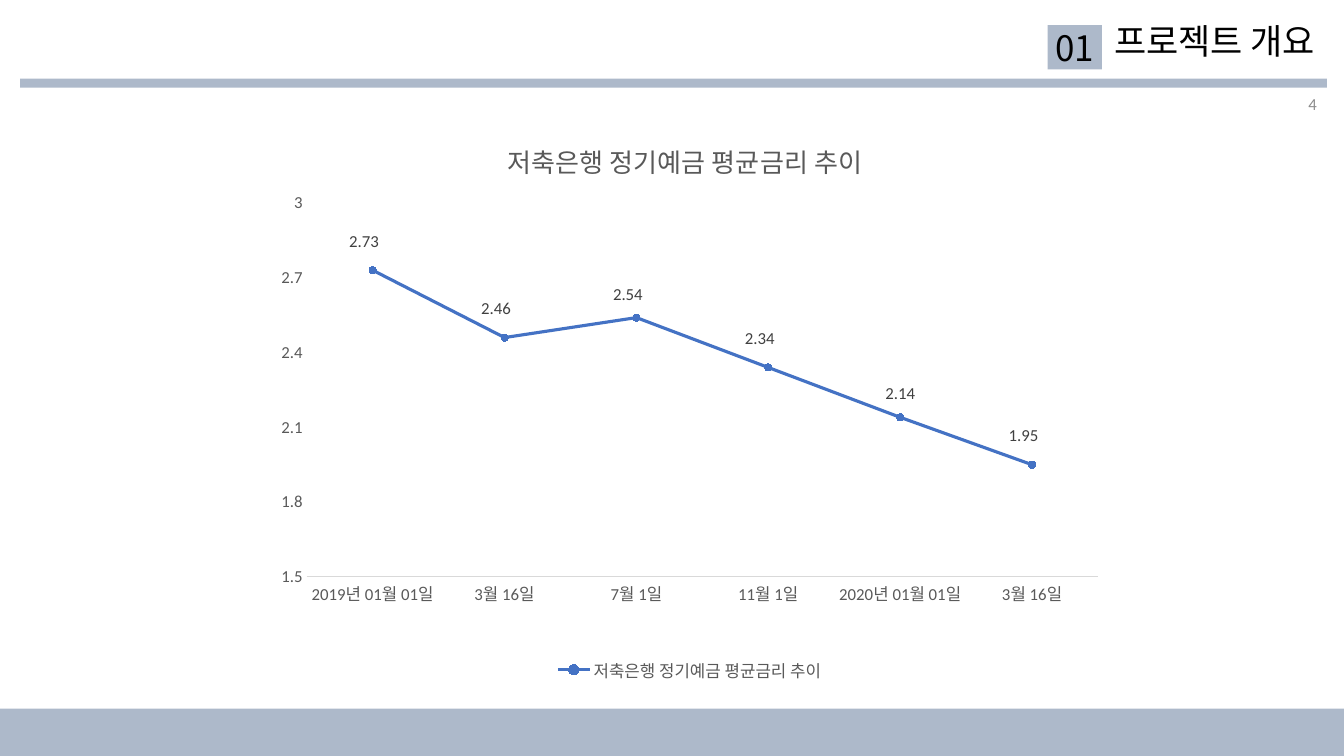
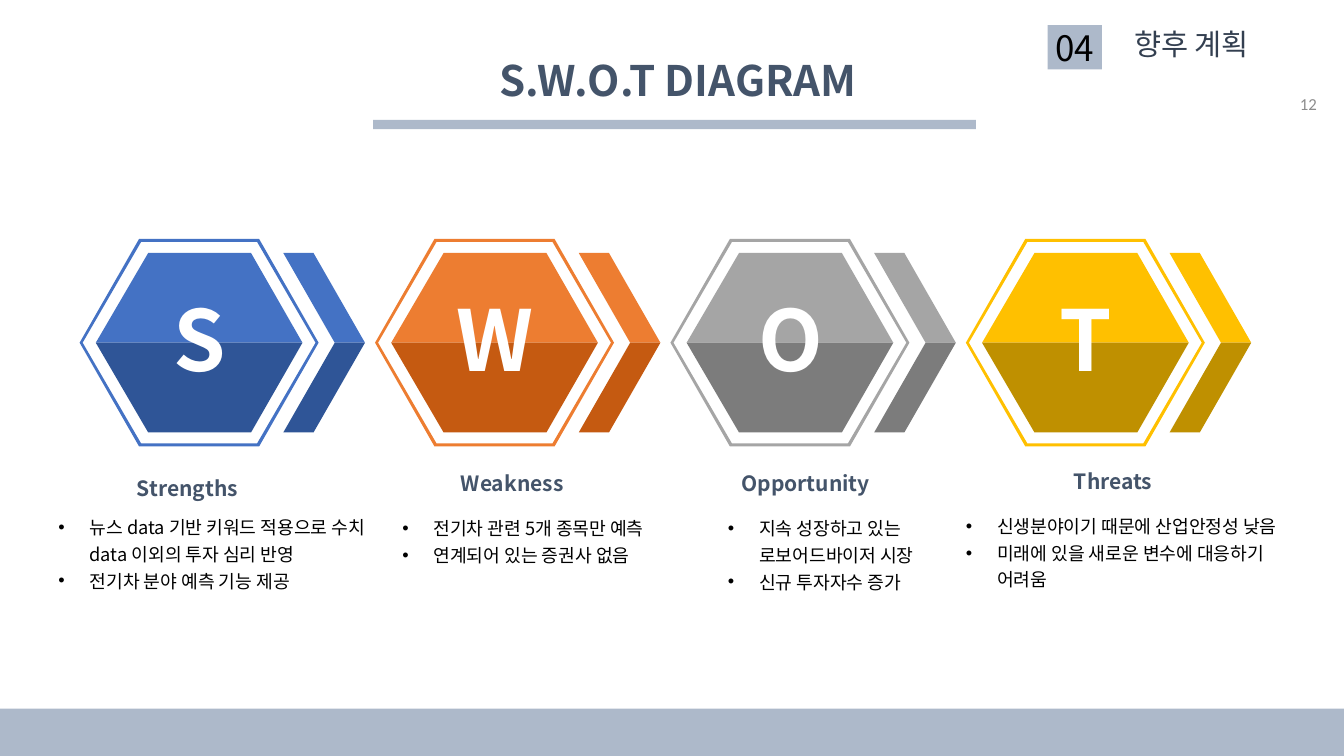
from dataclasses import dataclass

from lxml.etree import SubElement
from pptx import Presentation
from pptx.chart.data import CategoryChartData
from pptx.dml.color import RGBColor
from pptx.enum.chart import XL_CHART_TYPE as ChartType
from pptx.enum.chart import XL_LABEL_POSITION as LabelPosition
from pptx.enum.chart import XL_LEGEND_POSITION as LegendPosition
from pptx.enum.chart import XL_MARKER_STYLE as MarkerStyle
from pptx.enum.chart import XL_TICK_MARK as TickMark
from pptx.enum.shapes import MSO_SHAPE as Preset
from pptx.enum.text import MSO_ANCHOR as Anchor
from pptx.enum.text import MSO_AUTO_SIZE as AutoSize
from pptx.enum.text import PP_ALIGN as Align
from pptx.oxml import parse_xml
from pptx.oxml.ns import nsdecls, qn
from pptx.util import Inches, Pt

Point = tuple[float, float]
Box = tuple[float, float, float, float]


@dataclass(frozen=True)
class Theme:
    korean: str = "Noto Sans CJK KR"
    latin: str = "Calibri"
    band: str = "ADB9CA"
    black: str = "000000"
    white: str = "FFFFFF"
    heading: str = "44546A"
    section: str = "333F50"
    page: str = "8C8C8C"
    axis_text: str = "595959"
    axis_line: str = "D9D9D9"
    label: str = "404040"
    series: str = "4472C4"
    letter_size: float = 60
    diagram_size: float = 30
    title_size: float = 25
    section_size: float = 21
    chart_title_size: float = 18.6
    heading_size: float = 15
    list_size: float = 13
    small_size: float = 12


THEME = Theme()


@dataclass(frozen=True)
class Style:
    size: float
    colour: str
    bold: bool = False
    align: Align = Align.LEFT
    anchor: Anchor = Anchor.TOP
    font: str = THEME.korean


@dataclass(frozen=True)
class Rate:
    date: str
    percent: float
    label_dx: float
    label_dy: float


@dataclass(frozen=True)
class Factor:
    letter: str
    name: str
    light: str
    dark: str
    name_centre: float
    name_top: float
    list_box: Box
    points: tuple[str, ...]


RATES = (
    Rate("2019년 01월 01일", 2.73, -0.01, -0.02),
    Rate("3월 16일", 2.46, -0.01, -0.02),
    Rate("7월 1일", 2.54, -0.01, -0.01),
    Rate("11월 1일", 2.34, -0.01, -0.02),
    Rate("2020년 01월 01일", 2.14, 0, -0.01),
    Rate("3월 16일", 1.95, -0.01, -0.02),
)

FACTORS = (
    Factor("S", "Strengths", "4472C4", "2F5597", 1.86, 4.67, (0.48, 5.02, 3.5, 1.06),
           ("뉴스 data 기반 키워드 적용으로 수치 data 이외의 투자 심리 반영", "전기차 분야 예측 기능 제공")),
    Factor("W", "Weakness", "ED7D31", "C55A11", 5.08, 4.62, (3.89, 5.03, 3.2, 0.73),
           ("전기차 관련 5개 종목만 예측", "연계되어 있는 증권사 없음")),
    Factor("O", "Opportunity", "A5A5A5", "7C7C7C", 7.99, 4.62, (7.12, 5.03, 3.05, 1.06),
           ("지속 성장하고 있는 로보어드바이저 시장", "신규 투자자수 증가")),
    Factor("T", "Threats", "FFC000", "BF9000", 11.04, 4.6, (9.48, 5.01, 3.5, 1.06),
           ("신생분야이기 때문에 산업안정성 낮음", "미래에 있을 새로운 변수에 대응하기 어려움")),
)


def rgb(colour: str) -> RGBColor:
    return RGBColor.from_string(colour)


def style_font(font, size: float, colour: str, name: str, bold: bool = False) -> None:
    font.name = name
    font.size = Pt(size)
    font.bold = bold
    font.color.rgb = rgb(colour)


def add_run(paragraph, text: str, style: Style) -> None:
    run = paragraph.add_run()
    run.text = text
    style_font(run.font, style.size, style.colour, style.font, style.bold)
    SubElement(run._r.get_or_add_rPr(), qn("a:ea")).set("typeface", style.font)


def place(shape, box: Box) -> None:
    shape.left, shape.top, shape.width, shape.height = map(Inches, box)


def write(shape, text: str, style: Style) -> None:
    frame = shape.text_frame
    frame.word_wrap = True
    frame.auto_size = AutoSize.NONE
    frame.vertical_anchor = style.anchor
    frame.paragraphs[0].alignment = style.align
    add_run(frame.paragraphs[0], text, style)


def add_text(slide, box: Box, text: str, style: Style) -> None:
    write(slide.shapes.add_textbox(*map(Inches, box)), text, style)


def set_title(slide, box: Box, text: str, style: Style) -> None:
    place(slide.shapes.title, box)
    write(slide.shapes.title, text, style)


def paint(shape, colour: str) -> None:
    shape.shadow.inherit = False
    shape.fill.solid()
    shape.fill.fore_color.rgb = rgb(colour)
    shape.line.fill.background()


def add_bar(slide, box: Box):
    bar = slide.shapes.add_shape(Preset.RECTANGLE, *map(Inches, box))
    paint(bar, THEME.band)
    return bar


def add_frame(slide, section: str, page: str, rule: Box) -> None:
    add_bar(slide, (0, 7.03, 13.33, 0.47))
    add_bar(slide, rule)
    chip = add_bar(slide, (10.39, 0.25, 0.54, 0.44))
    frame = chip.text_frame
    frame.margin_left = frame.margin_right = frame.margin_top = frame.margin_bottom = 0
    write(chip, section, Style(THEME.title_size, THEME.black, align=Align.CENTER, anchor=Anchor.MIDDLE))
    add_text(slide, (10.16, 0.83, 3, 0.4), page,
             Style(THEME.small_size, THEME.page, align=Align.RIGHT, anchor=Anchor.MIDDLE, font=THEME.latin))


def manual_layout(x: float, y: float, size: Point | None = None, absolute: bool = True):
    parts = ['<c:layoutTarget val="inner"/>'] if size else []
    if absolute:
        parts += ['<c:xMode val="edge"/>', '<c:yMode val="edge"/>']
    parts += [f'<c:x val="{x}"/>', f'<c:y val="{y}"/>']
    if size:
        parts += [f'<c:w val="{size[0]}"/>', f'<c:h val="{size[1]}"/>']
    return parse_xml(f'<c:layout {nsdecls("c")}><c:manualLayout>{"".join(parts)}</c:manualLayout></c:layout>')


def add_rate_chart(slide) -> None:
    name = "저축은행 정기예금 평균금리 추이"
    rates = CategoryChartData()
    rates.categories = [rate.date for rate in RATES]
    rates.add_series(name, [rate.percent for rate in RATES])
    chart = slide.shapes.add_chart(ChartType.LINE_MARKERS, *map(Inches, (2.62, 1.1, 8.44, 5.71)), rates).chart
    style_font(chart.font, THEME.small_size, THEME.axis_text, THEME.latin)

    chart.has_title = True
    add_run(chart.chart_title.text_frame.paragraphs[0], name,
            Style(THEME.chart_title_size, THEME.axis_text))
    title = chart.chart_title._element
    for automatic in title.findall(qn("c:layout")):
        title.remove(automatic)
    title.find(qn("c:tx")).addnext(manual_layout(0.28, 0.04))
    chart.chart_title.include_in_layout = False

    area = chart._chartSpace.chart.plotArea
    for automatic in area.findall(qn("c:layout")):
        area.remove(automatic)
    area.insert(0, manual_layout(0.05, 0.16, (0.93, 0.65)))

    chart.has_legend = True
    chart.legend.position = LegendPosition.BOTTOM
    chart.legend.include_in_layout = False
    style_font(chart.legend.font, THEME.small_size, THEME.axis_text, THEME.latin)

    dates, percents = chart.category_axis, chart.value_axis
    for axis in (dates, percents):
        axis.major_tick_mark = axis.minor_tick_mark = TickMark.NONE
        axis.has_major_gridlines = False
        style_font(axis.tick_labels.font, THEME.small_size, THEME.axis_text, THEME.latin)
    dates.format.line.color.rgb = rgb(THEME.axis_line)
    dates.format.line.width = Pt(0.75)
    percents.format.line.fill.background()
    percents.minimum_scale, percents.maximum_scale, percents.major_unit = 1.5, 3, 0.3

    chart.plots[0].vary_by_categories = False
    trend = chart.plots[0].series[0]
    trend.smooth = False
    trend.format.line.color.rgb = rgb(THEME.series)
    trend.format.line.width = Pt(2.25)
    trend.marker.style = MarkerStyle.CIRCLE
    trend.marker.size = 5
    trend.marker.format.fill.solid()
    trend.marker.format.fill.fore_color.rgb = rgb(THEME.series)
    trend.marker.format.line.color.rgb = rgb(THEME.series)

    labels = trend.data_labels
    labels.show_value = True
    style_font(labels.font, THEME.small_size, THEME.label, THEME.latin)
    for index, rate in enumerate(RATES):
        label = trend.points[index].data_label
        label.position = LabelPosition.ABOVE
        style_font(label.font, THEME.small_size, THEME.label, THEME.latin)
        entry = labels._element.findall(qn("c:dLbl"))[index]
        entry.find(qn("c:idx")).addnext(manual_layout(rate.label_dx, rate.label_dy, absolute=False))
    for leader in labels._element.findall(qn("c:showLeaderLines")):
        leader.set("val", "0")


def add_polygon(slide, colour: str, *contours: list[Point]) -> None:
    first, *others = [[(Inches(x), Inches(y)) for x, y in contour] for contour in contours]
    builder = slide.shapes.build_freeform(*first[0])
    builder.add_line_segments(first[1:], close=True)
    for contour in others:
        builder.move_to(*contour[0])
        builder.add_line_segments(contour[1:], close=True)
    paint(builder.convert_to_shape(), colour)


def hexagon(left: float, middle: float, width: float, half: float, slope: float) -> list[Point]:
    right = left + width
    return [(left, middle), (left + slope, middle - half), (right - slope, middle - half),
            (right, middle), (right - slope, middle + half), (left + slope, middle + half)]


def add_emblem(slide, factor: Factor, left: float) -> None:
    middle, half = 3.4, 0.89
    add_polygon(slide, factor.light, hexagon(left, middle, 2.37, 1.03, 0.59),
                hexagon(left + 0.03, middle, 2.31, 1, 0.58)[::-1])
    for colour, edge in ((factor.light, middle - half), (factor.dark, middle + half)):
        add_polygon(slide, colour, [(left + 0.16, middle), (left + 0.68, edge),
                                    (left + 1.7, edge), (left + 2.21, middle)])
        add_polygon(slide, colour, [(left + 2.83, middle), (left + 2.32, edge),
                                    (left + 2.02, edge), (left + 2.53, middle)])
    add_text(slide, (left + 0.62, 2.8, 1.14, 1.11), factor.letter,
             Style(THEME.letter_size, THEME.white, True, Align.CENTER))


def fill_list(body, factor: Factor) -> None:
    place(body, factor.list_box)
    frame = body.text_frame
    frame.word_wrap = True
    frame.auto_size = AutoSize.NONE
    frame.vertical_anchor = Anchor.TOP
    for index, point in enumerate(factor.points):
        paragraph = frame.add_paragraph() if index else frame.paragraphs[0]
        properties = paragraph._p.get_or_add_pPr()
        properties.set("marL", str(Inches(0.31)))
        properties.set("indent", str(-Inches(0.31)))
        SubElement(properties, qn("a:buFont")).set("typeface", "Arial")
        SubElement(properties, qn("a:buChar")).set("char", "•")
        paragraph.alignment = Align.LEFT
        paragraph.line_spacing = 1.23
        paragraph.space_before = paragraph.space_after = Pt(0)
        add_run(paragraph, point, Style(THEME.list_size, THEME.black))


def build_overview(deck) -> None:
    slide = deck.slides.add_slide(deck.slide_layouts.get_by_name("Title Only"))
    add_frame(slide, "01", "4", (0.2, 0.78, 12.96, 0.09))
    set_title(slide, (10.95, 0.14, 2.38, 0.6), "프로젝트 개요", Style(THEME.title_size, THEME.black))
    add_rate_chart(slide)


def build_swot(deck) -> None:
    slide = deck.slides.add_slide(deck.slide_layouts.get_by_name("Comparison"))
    add_frame(slide, "04", "12", (3.7, 1.19, 5.98, 0.09))
    add_text(slide, (11.15, 0.21, 2.1, 0.5), "향후 계획", Style(THEME.section_size, THEME.section))
    set_title(slide, (1.26, 0.49, 10.93, 0.7), "S.W.O.T DIAGRAM",
              Style(THEME.diagram_size, THEME.heading, True, Align.CENTER))
    bodies = [holder for holder in slide.placeholders if holder.placeholder_format.idx]
    for index, (factor, body) in enumerate(zip(FACTORS, bodies)):
        add_emblem(slide, factor, 0.79 + 2.93 * index)
        add_text(slide, (factor.name_centre - 1, factor.name_top, 2, 0.4), factor.name,
                 Style(THEME.heading_size, THEME.heading, True, Align.CENTER))
        fill_list(body, factor)


def main() -> None:
    deck = Presentation()
    deck.slide_width, deck.slide_height = Inches(13.33), Inches(7.5)
    build_overview(deck)
    build_swot(deck)
    deck.save("out.pptx")


if __name__ == "__main__":
    main()
